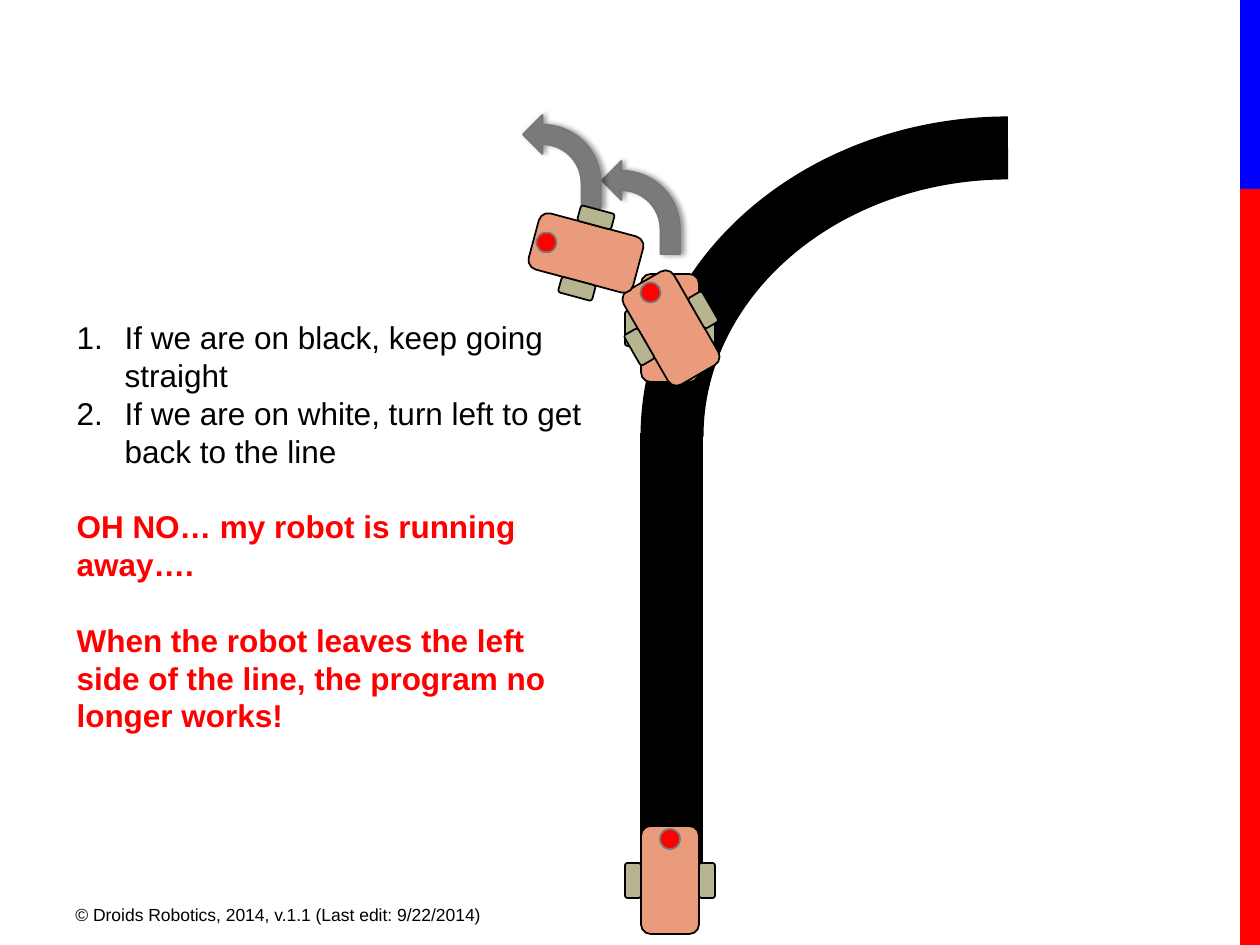
"""Build the slide on a line-following robot that runs away from the line."""
from dataclasses import dataclass

from lxml import etree
from pptx import Presentation
from pptx.dml.color import RGBColor
from pptx.enum.shapes import MSO_CONNECTOR, MSO_SHAPE
from pptx.enum.text import MSO_ANCHOR, MSO_AUTO_SIZE
from pptx.oxml import parse_xml
from pptx.oxml.ns import qn
from pptx.util import Emu, Pt

STRAIGHT = MSO_CONNECTOR.STRAIGHT
ARC, BENT_ARROW, OVAL = MSO_SHAPE.ARC, MSO_SHAPE.BENT_ARROW, MSO_SHAPE.OVAL
RECTANGLE, ROUNDED = MSO_SHAPE.RECTANGLE, MSO_SHAPE.ROUNDED_RECTANGLE
TOP = MSO_ANCHOR.TOP
NO_AUTOFIT = MSO_AUTO_SIZE.NONE
EMU_PER_PX = 914400 / 126


@dataclass(frozen=True)
class Theme:
    black: RGBColor = RGBColor(0, 0, 0)
    blue: RGBColor = RGBColor(0, 0, 255)
    red: RGBColor = RGBColor(255, 0, 0)
    chassis: RGBColor = RGBColor(0xEA, 0x9B, 0x7C)
    wheel: RGBColor = RGBColor(0xB6, 0xB5, 0x90)
    arrow: RGBColor = RGBColor(0x7A, 0x7A, 0x7A)
    rim: RGBColor = RGBColor(0x77, 0x77, 0x77)
    font: str = "Arial"
    body: Pt = Pt(18)
    leading: Pt = Pt(21.6)
    credit: Pt = Pt(10)
    outline: Pt = Pt(1)
    track: Pt = Pt(36)


THEME = Theme()
SHADOW = (
    '<a:outerShdw xmlns:a="http://schemas.openxmlformats.org/drawingml/2006/main" '
    'blurRad="39370" dist="22860" dir="0" rotWithShape="0">'
    '<a:srgbClr val="000000"><a:alpha val="40000"/></a:srgbClr></a:outerShdw>'
)


def px(*lengths):
    return [Emu(round(length * EMU_PER_PX)) for length in lengths]


def add_part(owner, preset, box, fill, line=None):
    part = owner.shapes.add_shape(preset, *px(*box))
    part.shadow.inherit = False
    if fill is None:
        part.fill.background()
    else:
        part.fill.solid()
        part.fill.fore_color.rgb = fill
    if line is None:
        part.line.fill.background()
    else:
        part.line.color.rgb = line
        part.line.width = THEME.outline
    return part


prs = Presentation()
prs.slide_width, prs.slide_height = px(1260, 945)
slide = prs.slides.add_slide(prs.slide_layouts[1])
title = slide.shapes.title
title._element.getparent().remove(title._element)

add_part(slide, RECTANGLE, (1240, 0, 20, 189), THEME.blue)
add_part(slide, RECTANGLE, (1240, 189, 20, 756), THEME.red)

track = slide.shapes.add_connector(STRAIGHT, *px(672, 877, 672, 433))
track.line.color.rgb = THEME.black
track.line.width = THEME.track
etree.SubElement(track._element.spPr, qn("a:effectLst"))

curve = add_part(slide, ARC, (672, 148, 672, 577), None, THEME.black)
curve.line.width = THEME.track
curve._element.spPr.xfrm.set("flipH", "1")

robot_parts = [
    (ROUNDED, (-29, -54, 58, 108), THEME.chassis, THEME.black),
    (ROUNDED, (29, -17, 16, 35), THEME.wheel, THEME.black),
    (ROUNDED, (-45, -17, 16, 35), THEME.wheel, THEME.black),
    (OVAL, (-10, -51, 20, 20), THEME.red, THEME.rim),
]
robot_steps = [
    (670, 880, 0, None),
    (670, 328, 0, None),
    (671, 328, 330, (602, 161)),
    (586, 253, 285, (523, 115)),
]
for center_x, center_y, heading, turn_corner in robot_steps:
    if turn_corner:
        turn = add_part(slide, BENT_ARROW, (*turn_corner, 78, 93), THEME.arrow, THEME.rim)
        turn.adjustments[3] = 0.75
        turn._element.spPr.xfrm.set("flipH", "1")
        turn._element.spPr.find(qn("a:effectLst")).append(parse_xml(SHADOW))
    robot = slide.shapes.add_group_shape()
    for preset, (x, y, width, height), fill, line in robot_parts:
        add_part(robot, preset, (center_x + x, center_y + y, width, height), fill, line)
    robot.rotation = heading

rules = slide.placeholders[1]
rules.left, rules.top, rules.width, rules.height = px(64, 312, 532, 432)
rules_frame = rules.text_frame
rules_frame.word_wrap = True
rules_frame.auto_size = NO_AUTOFIT
rules_frame.vertical_anchor = TOP
messages = [
    ("If we are on black, keep going straight", True),
    ("If we are on white, turn left to get back to the line", True),
    ("OH NO… my robot is running away….", False),
    ("When the robot leaves the left side of the line, the program no longer works!", False),
]
for index, (message, numbered) in enumerate(messages):
    paragraph = rules_frame.paragraphs[0] if index == 0 else rules_frame.add_paragraph()
    paragraph.text = message
    paragraph.line_spacing = THEME.leading
    paragraph.space_before = Pt(0) if numbered else THEME.leading
    indent = px(48)[0] if numbered else 0
    properties = paragraph._p.get_or_add_pPr()
    properties.set("marL", str(indent))
    properties.set("indent", str(-indent))
    if numbered:
        etree.SubElement(properties, qn("a:buFont"), typeface="+mj-lt")
        etree.SubElement(properties, qn("a:buAutoNum"), type="arabicPeriod")
    else:
        etree.SubElement(properties, qn("a:buNone"))
    paragraph.font.name = THEME.font
    paragraph.font.size = THEME.body
    paragraph.font.bold = not numbered
    paragraph.font.color.rgb = THEME.black if numbered else THEME.red

credit_frame = slide.shapes.add_textbox(*px(63, 895, 473, 39)).text_frame
credit_frame.word_wrap = True
credit_frame.vertical_anchor = MSO_ANCHOR.MIDDLE
credit = credit_frame.paragraphs[0]
credit.text = "© Droids Robotics, 2014, v.1.1 (Last edit: 9/22/2014)"
credit.font.name = THEME.font
credit.font.size = THEME.credit
credit.font.color.rgb = THEME.black

prs.save("out.pptx")
